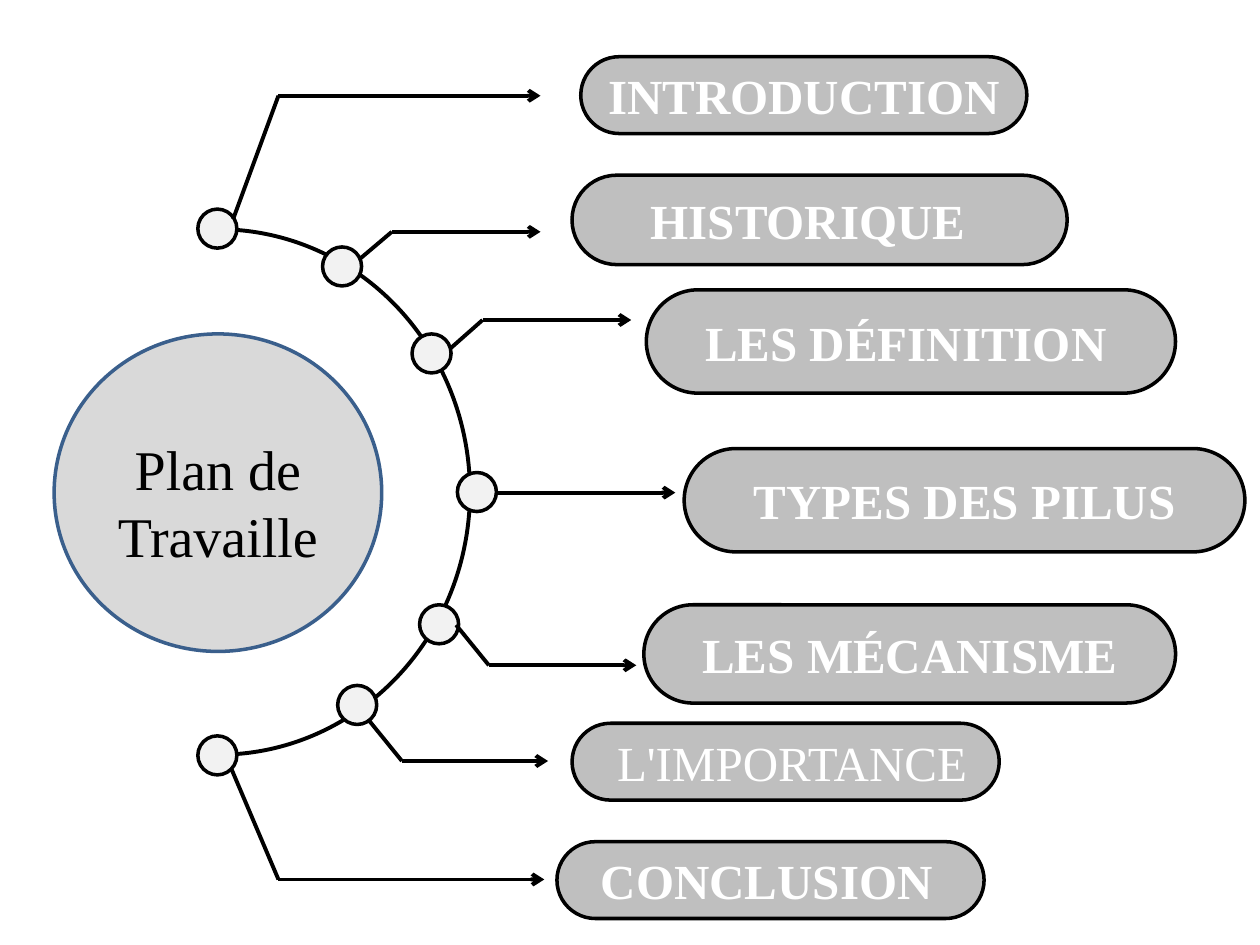
from dataclasses import dataclass

import pptx
import pptx.dml.color
import pptx.enum.shapes
import pptx.enum.text
import pptx.oxml
import pptx.oxml.ns
import pptx.util
from pptx.util import Inches

SHAPE = pptx.enum.shapes.MSO_SHAPE
ANCHOR = pptx.enum.text.MSO_ANCHOR


@dataclass(frozen=True)
class Theme:
    font: str = "Times New Roman"
    hub_size: int = 32
    pill_size: int = 28
    hub_fill: str = "D9D9D9"
    hub_line: str = "3A5F8C"
    node_fill: str = "F2F2F2"
    pill_fill: str = "BFBFBF"
    ink: str = "000000"
    light: str = "FFFFFF"
    outline: float = 2
    stroke: float = 2.25


THEME = Theme()
NODE_SIZE = 0.31

HUB = (0.43, 2.65, 2.6, 2.52)
WHEEL = (-0.26, 1.82, 3.99, 4.17)
# Left and top of each node, relative to the wheel box
NODES = [(1.83, -0.16), (2.82, 0.14), (3.53, 0.83), (3.89, 1.93),
         (3.59, 2.98), (2.94, 3.62), (1.83, 4.02)]
# Start, optional elbow and arrow tip of each leader
LEADERS = [
    [(1.85, 1.74), (2.21, 0.76), (4.29, 0.76)],
    [(2.85, 2.06), (3.11, 1.84), (4.29, 1.84)],
    [(3.57, 2.77), (3.83, 2.54), (5.01, 2.54)],
    [(3.94, 3.91), (5.36, 3.91)],
    [(3.62, 4.96), (3.88, 5.28), (5.05, 5.28)],
    [(2.93, 5.72), (3.19, 6.04), (4.35, 6.04)],
    [(1.84, 6.11), (2.21, 6.98), (4.32, 6.98)],
]
# Label, box, weight, sideways nudge of the text
PILLS = [
    ("INTRODUCTION", (4.61, 0.45, 3.54, 0.61), True, 0),
    ("HISTORIQUE", (4.54, 1.39, 3.93, 0.71), True, -0.09),
    ("LES DÉFINITION", (5.13, 2.3, 4.2, 0.82), True, -0.04),
    ("TYPES DES PILUS", (5.43, 3.56, 4.45, 0.82), True, 0),
    ("LES MÉCANISME", (5.11, 4.8, 4.22, 0.78), True, 0),
    ("L'IMPORTANCE", (4.54, 5.74, 3.39, 0.61), False, 0.05),
    ("CONCLUSION", (4.42, 6.68, 3.39, 0.61), True, -0.03),
]


def rgb(value):
    return pptx.dml.color.RGBColor.from_string(value)


def add_text(sp, text, *, size, color, bold=False, anchor=ANCHOR.MIDDLE, nudge=0):
    """Write centred text, moved sideways by nudge inches through the insets."""
    tf = sp.text_frame
    tf.word_wrap = True
    tf.vertical_anchor = anchor
    tf.margin_left = Inches(0.1 + max(2 * nudge, 0))
    tf.margin_right = Inches(0.1 + max(-2 * nudge, 0))
    p = tf.paragraphs[0]
    p.alignment = pptx.enum.text.PP_ALIGN.CENTER
    r = p.add_run()
    r.text = text
    r.font.name = THEME.font
    r.font.size = pptx.util.Pt(size)
    r.font.bold = bold
    r.font.color.rgb = rgb(color)


def add_shape(s, kind, box, *, fill=None, line=THEME.ink, width=THEME.outline):
    sp = s.shapes.add_shape(kind, *map(Inches, box))
    sp.shadow.inherit = False
    if fill:
        sp.fill.solid()
        sp.fill.fore_color.rgb = rgb(fill)
    else:
        sp.fill.background()
    sp.line.color.rgb = rgb(line)
    sp.line.width = pptx.util.Pt(width)
    return sp


def add_line(shapes, start, end, arrow=False):
    c = shapes.add_connector(pptx.enum.shapes.MSO_CONNECTOR.STRAIGHT,
                             *map(Inches, start + end))
    c.line.color.rgb = rgb(THEME.ink)
    c.line.width = pptx.util.Pt(THEME.stroke)
    if arrow:
        ln = c.line._get_or_add_ln()
        ln.append(pptx.oxml.parse_xml(
            f'<a:tailEnd {pptx.oxml.ns.nsdecls("a")} type="arrow"/>'))
    c._element.spPr.append(pptx.oxml.parse_xml(
        f'<a:effectLst {pptx.oxml.ns.nsdecls("a")}/>'))


def add_hub(s, box):
    x, y, w, h = box
    add_shape(s, SHAPE.OVAL, box, fill=THEME.hub_fill, line=THEME.hub_line)
    tb = s.shapes.add_textbox(*map(Inches, (x + 0.2, y + 0.75, w - 0.4, h - 1.02)))
    add_text(tb, "Plan de Travaille", size=THEME.hub_size, color=THEME.ink,
             anchor=ANCHOR.TOP)


def add_wheel(s, box):
    """Draw the right-hand arc and the nodes that sit on it."""
    arc = add_shape(s, SHAPE.ARC, box, width=THEME.stroke)
    arc.adjustments[0] = 161.814
    arc.adjustments[1] = 53.553
    for dx, dy in NODES:
        add_shape(s, SHAPE.OVAL, (box[0] + dx, box[1] + dy, NODE_SIZE, NODE_SIZE),
                  fill=THEME.node_fill)


def add_leader(s, points):
    shapes = s.shapes.add_group_shape().shapes if len(points) > 2 else s.shapes
    for start, end in zip(points, points[1:]):
        add_line(shapes, start, end, arrow=end == points[-1])


def add_pill(s, box, label, bold, nudge):
    sp = add_shape(s, SHAPE.ROUNDED_RECTANGLE, box, fill=THEME.pill_fill)
    sp.adjustments[0] = 0.5
    add_text(sp, label, size=THEME.pill_size, color=THEME.light, bold=bold, nudge=nudge)


def main():
    prs = pptx.Presentation()
    prs.slide_width, prs.slide_height = Inches(10), Inches(7.5)
    s = prs.slides.add_slide(prs.slide_layouts[6])
    add_hub(s, HUB)
    add_wheel(s, WHEEL)
    for points in LEADERS:
        add_leader(s, points)
    for label, box, bold, nudge in PILLS:
        add_pill(s, box, label, bold, nudge)
    prs.save("out.pptx")


if __name__ == "__main__":
    main()
